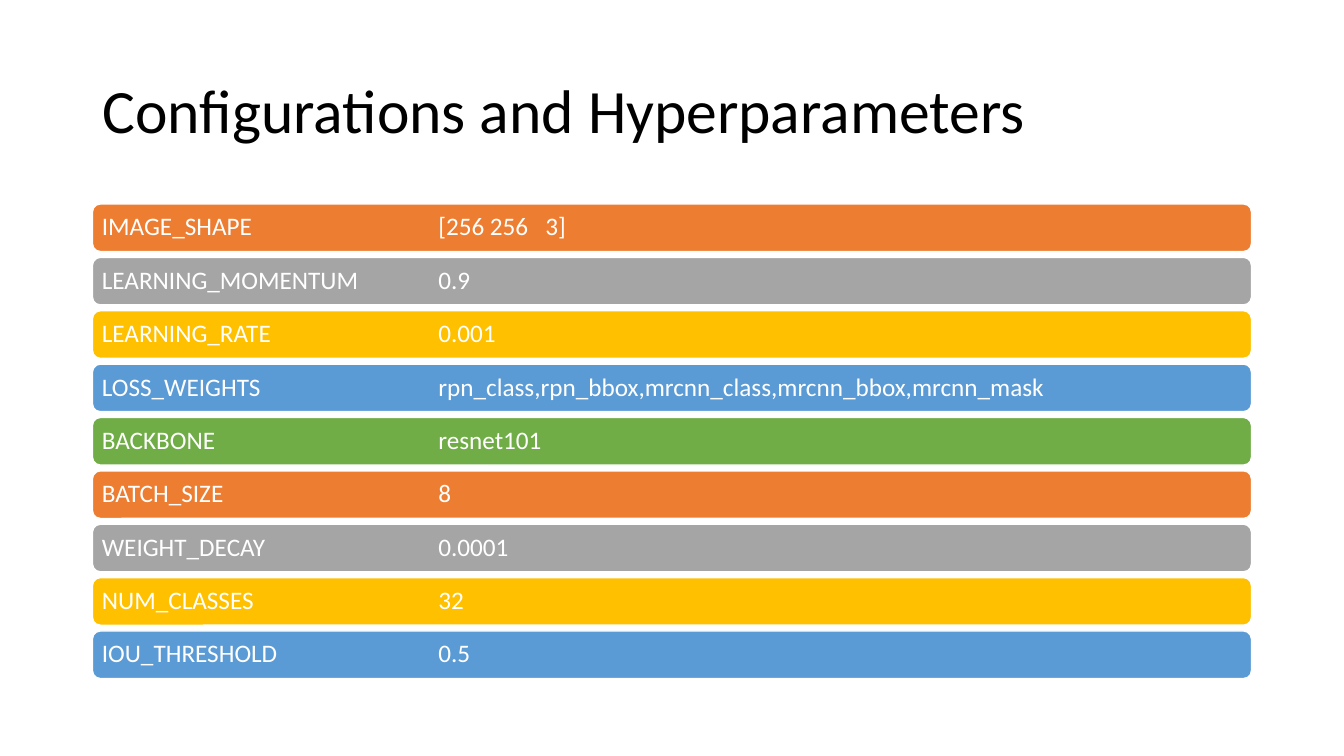
from lxml.etree import SubElement
from pptx import Presentation
from pptx.dml.color import RGBColor
from pptx.enum.shapes import MSO_SHAPE as Shape
from pptx.enum.text import MSO_ANCHOR as Anchor, PP_ALIGN as Align
from pptx.oxml.ns import qn
from pptx.util import Cm, Pt

COLORS = {
    "orange": "ED7D31",
    "gray": "A5A5A5",
    "gold": "FFC000",
    "blue": "5B9BD5",
    "green": "70AD47",
    "white": "FFFFFF",
    "black": "000000",
}
BAR_CYCLE = ["orange", "gray", "gold", "blue", "green"]

SETTINGS = [
    ("IMAGE_SHAPE", "[256 256   3]"),
    ("LEARNING_MOMENTUM", "0.9"),
    ("LEARNING_RATE", "0.001"),
    ("LOSS_WEIGHTS", "rpn_class,rpn_bbox,mrcnn_class,mrcnn_bbox,mrcnn_mask"),
    ("BACKBONE", "resnet101"),
    ("BATCH_SIZE", "8"),
    ("WEIGHT_DECAY", "0.0001"),
    ("NUM_CLASSES", "32"),
    ("IOU_THRESHOLD", "0.5"),
]

LEFT, WIDTH = Cm(2.33), Cm(29.21)
FIRST_TOP, BAR_HEIGHT, PITCH = 5.14, 1.2, 1.345
VALUE_TAB = Cm(8.48)
BAR_FRAME = {
    "margin_left": Cm(0.18),
    "margin_right": Cm(0.18),
    "margin_top": Cm(0.18),
    "margin_bottom": Cm(0.18),
    "vertical_anchor": Anchor.MIDDLE,
    "word_wrap": True,
}


def write_text(shape, text, size, color):
    paragraph = shape.text_frame.paragraphs[0]
    paragraph.alignment = Align.LEFT
    paragraph.line_spacing = 0.9
    run = paragraph.add_run()
    run.text = text
    for name, value in {"name": "Calibri", "size": Pt(size)}.items():
        setattr(run.font, name, value)
    run.font.color.rgb = RGBColor.from_string(COLORS[color])
    return paragraph


presentation = Presentation()
presentation.slide_width = Cm(33.87)
presentation.slide_height = Cm(19.05)
slide = presentation.slides.add_slide(presentation.slide_layouts[5])

# Title
title = slide.shapes.title
title_place = {"left": LEFT, "top": Cm(1.01), "width": WIDTH, "height": Cm(3.68)}
for name, value in title_place.items():
    setattr(title, name, value)
title.text_frame.vertical_anchor = Anchor.MIDDLE
write_text(title, "Configurations and Hyperparameters", 44, "black")

# One bar per setting, the value aligned at a tab stop
for index, (setting, value) in enumerate(SETTINGS):
    top = Cm(FIRST_TOP + index * PITCH)
    bar = slide.shapes.add_shape(
        Shape.ROUNDED_RECTANGLE, LEFT, top, WIDTH, Cm(BAR_HEIGHT))
    bar.shadow.inherit = False
    bar.fill.solid()
    bar.fill.fore_color.rgb = RGBColor.from_string(
        COLORS[BAR_CYCLE[index % len(BAR_CYCLE)]])
    bar.line.color.rgb = RGBColor.from_string(COLORS["white"])
    bar.line.width = Pt(1)
    for name, setup in BAR_FRAME.items():
        setattr(bar.text_frame, name, setup)
    paragraph = write_text(bar, f"{setting}\t{value}", 18, "white")
    tabs = SubElement(paragraph._p.get_or_add_pPr(), qn("a:tabLst"))
    SubElement(tabs, qn("a:tab"), pos=str(VALUE_TAB), algn="l")

presentation.save("out.pptx")
